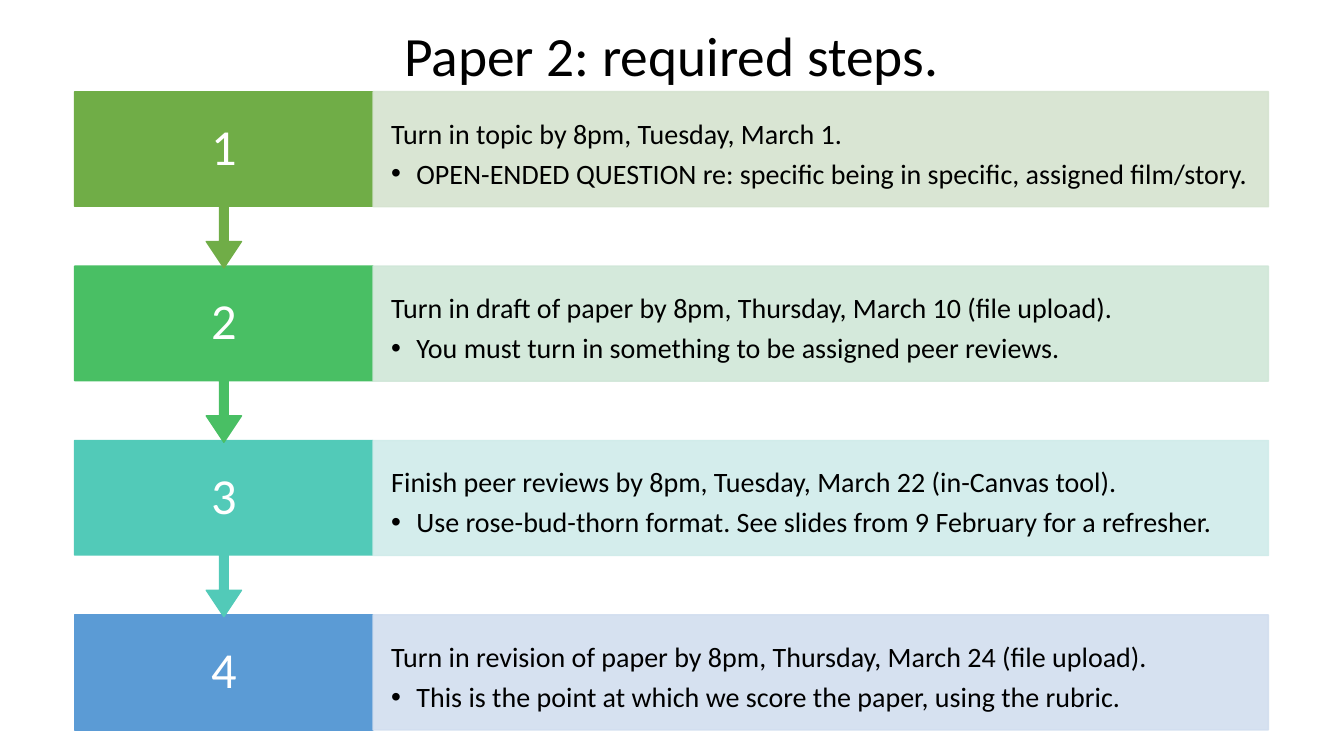
from lxml.etree import SubElement
from pptx import Presentation
from pptx.dml.color import RGBColor
from pptx.enum.shapes import MSO_SHAPE
from pptx.enum.text import MSO_ANCHOR, PP_ALIGN
from pptx.oxml.ns import qn
from pptx.util import Inches, Pt

COLORS = {
    "text": "000000", "number": "FFFFFF",
    "green": "70AD47", "pale green": "D5E3CF",
    "emerald": "49BF64", "pale emerald": "D0E7D8",
    "teal": "52CAB8", "pale teal": "D0ECEA",
    "blue": "5B9BD5", "pale blue": "D2DEEF",
}

STEPS = [
    ("green", "Turn in topic by 8pm, Tuesday, March 1.",
     "OPEN-ENDED QUESTION re: specific being in specific, assigned film/story."),
    ("emerald", "Turn in draft of paper by 8pm, Thursday, March 10 (file upload).",
     "You must turn in something to be assigned peer reviews."),
    ("teal", "Finish peer reviews by 8pm, Tuesday, March 22 (in-Canvas tool).",
     "Use rose-bud-thorn format. See slides from 9 February for a refresher."),
    ("blue", "Turn in revision of paper by 8pm, Thursday, March 24 (file upload).",
     "This is the point at which we score the paper, using the rubric."),
]


class StepSlide:
    FONT = "Calibri"
    LEFT, TOP = 0.74, 0.91
    COLUMN, ROW = 2.96, 1.73
    BAR = 0.66      # share of a row filled by its bar
    CALLOUT = 1.01  # share of a row from bar top to arrow tip

    def __init__(self, slide):
        self.slide = slide

    def cell(self, column, row, columns=1, rows=BAR):
        """Return left, top, width and height of a grid area."""
        return (Inches(self.LEFT + column * self.COLUMN),
                Inches(self.TOP + row * self.ROW),
                Inches(columns * self.COLUMN), Inches(rows * self.ROW))

    def add_text(self, paragraph, text, size, color, after=0):
        paragraph.line_spacing = 0.9
        paragraph.space_before = Pt(0)
        paragraph.space_after = Pt(after)
        run = paragraph.add_run()
        run.text = text
        run.font.name = self.FONT
        run.font.size = Pt(size)
        run.font.color.rgb = RGBColor.from_string(COLORS[color])

    def title(self, text):
        shape = self.slide.shapes.title
        shape.left, shape.top = Inches(0.91), Inches(0.26)
        shape.width, shape.height = Inches(11.5), Inches(0.64)
        shape.text_frame.vertical_anchor = MSO_ANCHOR.MIDDLE
        paragraph = shape.text_frame.paragraphs[0]
        paragraph.alignment = PP_ALIGN.CENTER
        self.add_text(paragraph, text, 39.6, "text")

    def block(self, kind, area, color, opacity=100):
        shape = self.slide.shapes.add_shape(kind, *area)
        shape.shadow.inherit = False
        shape.line.width = Pt(1)
        for paint in (shape.fill, shape.line.fill):
            paint.solid()
            paint.fore_color.rgb = RGBColor.from_string(COLORS[color])
        if opacity < 100:
            for tone in list(shape._element.spPr.iter(qn("a:srgbClr"))):
                SubElement(tone, qn("a:alpha"), val=str(opacity * 1000))
        return shape

    def frame(self, shape, side, anchor):
        frame = shape.text_frame
        frame.word_wrap = True
        frame.vertical_anchor = anchor
        frame.margin_left = frame.margin_right = Inches(side)
        frame.margin_top = frame.margin_bottom = Inches(0.28)
        return frame

    def number(self, row, color, has_arrow):
        if has_arrow:
            area = self.cell(0, row, rows=self.CALLOUT)
            callout = self.block(MSO_SHAPE.UP_ARROW_CALLOUT, area, color)
            callout.rotation = 180
            for index, share in enumerate((0.05, 0.1, 0.15, 0.65)):
                callout.adjustments[index] = share
        else:
            self.block(MSO_SHAPE.RECTANGLE, self.cell(0, row), color)
        label = self.slide.shapes.add_textbox(*self.cell(0, row))
        paragraph = self.frame(label, 0.21, MSO_ANCHOR.MIDDLE).paragraphs[0]
        paragraph.alignment = PP_ALIGN.CENTER
        self.add_text(paragraph, str(row + 1), 36, "number", after=12.6)

    def panel(self, row, color, task, detail):
        area = self.cell(1, row, columns=3)
        shape = self.block(MSO_SHAPE.RECTANGLE, area, color, opacity=90)
        frame = self.frame(shape, 0.18, MSO_ANCHOR.TOP)
        heading, bullet = frame.paragraphs[0], frame.add_paragraph()
        heading.alignment = bullet.alignment = PP_ALIGN.LEFT
        self.add_text(heading, task, 20, "text", after=7)
        bullet.level = 1
        self.add_text(bullet, detail, 20, "text", after=3)
        properties = bullet._p.get_or_add_pPr()
        properties.set("marL", str(Inches(0.25)))
        properties.set("indent", str(Inches(-0.25)))
        SubElement(properties, qn("a:buFont"), typeface="Arial")
        SubElement(properties, qn("a:buChar"), char="•")


def main():
    presentation = Presentation()
    presentation.slide_width = Inches(13.33)
    presentation.slide_height = Inches(7.5)
    title_only = presentation.slide_layouts[5]
    steps = StepSlide(presentation.slides.add_slide(title_only))
    steps.title("Paper 2: required steps.")
    # Last step first, so that each arrow tip lies over the bar below it.
    for row, (color, task, detail) in reversed(list(enumerate(STEPS))):
        steps.number(row, color, has_arrow=row < len(STEPS) - 1)
        steps.panel(row, f"pale {color}", task, detail)
    presentation.save("out.pptx")


if __name__ == "__main__":
    main()
